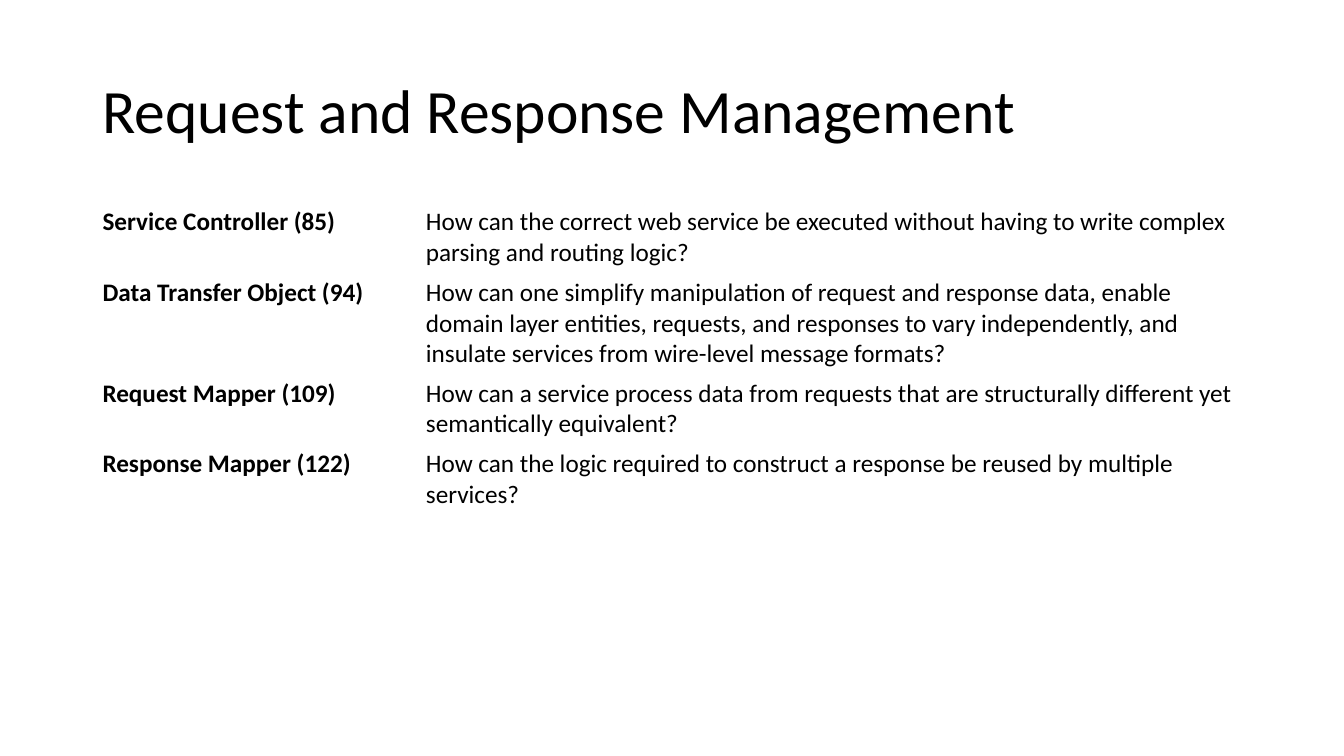
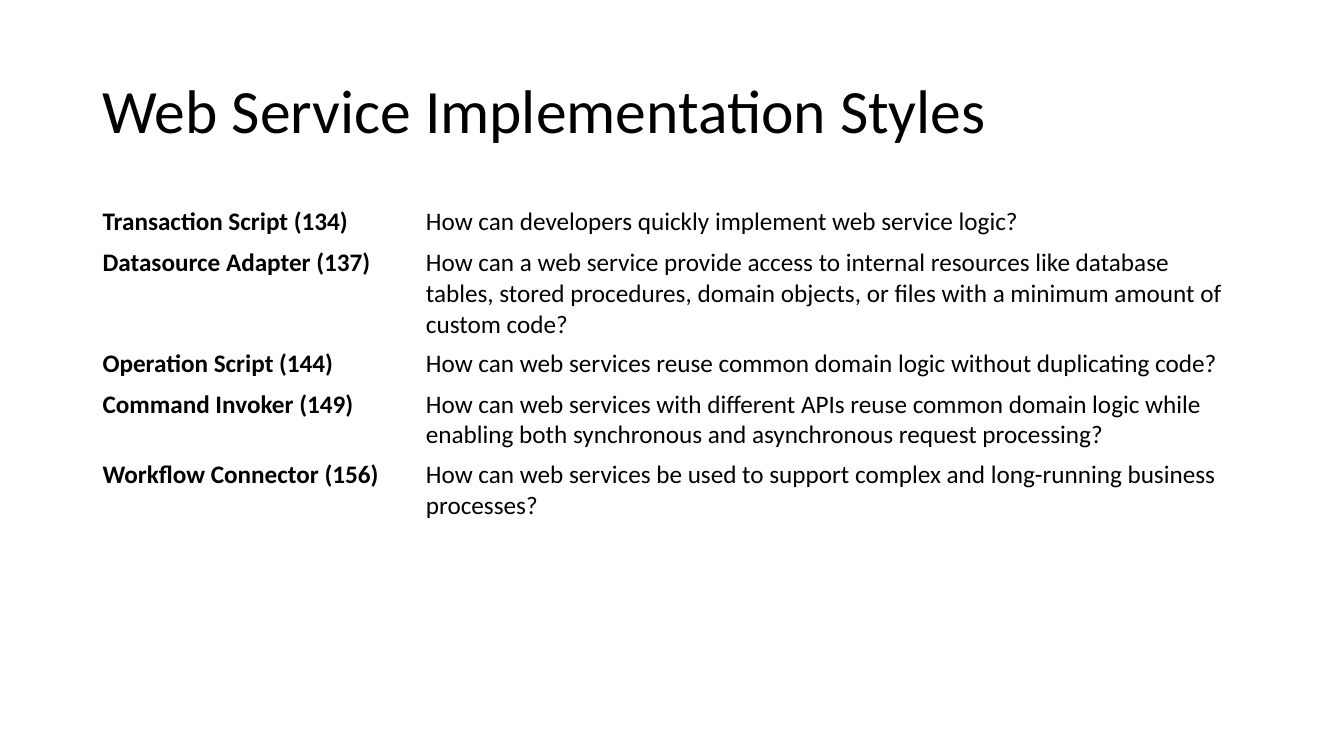
"""Builds two slides that list web service design patterns and the questions they answer."""
from pptx import Presentation
from pptx.dml.color import RGBColor
from pptx.enum.text import MSO_ANCHOR
from pptx.util import Cm, Pt

MIDDLE = MSO_ANCHOR.MIDDLE
COLORS = {"text": "000000", "background": "FFFFFF"}
FONT = "Calibri"
LEFT, WIDTH = Cm(2.33), Cm(29.21)
NAME_WIDTH = Cm(8.15)
ROW_HEIGHT = Cm(1.03)

CHAPTERS = {
    "Request and Response Management": [
        ("Service Controller (85)",
         "How can the correct web service be executed without having to write "
         "complex parsing and routing logic?"),
        ("Data Transfer Object (94)",
         "How can one simplify manipulation of request and response data, enable "
         "domain layer entities, requests, and responses to vary independently, "
         "and insulate services from wire-level message formats?"),
        ("Request Mapper (109)",
         "How can a service process data from requests that are structurally "
         "different yet semantically equivalent?"),
        ("Response Mapper (122)",
         "How can the logic required to construct a response be reused by "
         "multiple services?"),
    ],
    "Web Service Implementation Styles": [
        ("Transaction Script (134)",
         "How can developers quickly implement web service logic?"),
        ("Datasource Adapter (137)",
         "How can a web service provide access to internal resources like "
         "database tables, stored procedures, domain objects, or files with a "
         "minimum amount of custom code?"),
        ("Operation Script (144)",
         "How can web services reuse common domain logic without duplicating code?"),
        ("Command Invoker (149)",
         "How can web services with different APIs reuse common domain logic "
         "while enabling both synchronous and asynchronous request processing?"),
        ("Workflow Connector (156)",
         "How can web services be used to support complex and long-running "
         "business processes?"),
    ],
}


def add_run(paragraph, text, size, bold=False):
    run = paragraph.add_run()
    run.text = text
    run.font.name = FONT
    run.font.size = Pt(size)
    run.font.bold = bold
    run.font.color.rgb = RGBColor.from_string(COLORS["text"])


deck = Presentation()
deck.slide_width, deck.slide_height = Cm(33.87), Cm(19.05)
blank = deck.slide_layouts[6]
backdrop = deck.slide_master.background.fill
backdrop.solid()
backdrop.fore_color.rgb = RGBColor.from_string(COLORS["background"])

for heading, patterns in CHAPTERS.items():
    slide = deck.slides.add_slide(blank)

    title = slide.shapes.add_textbox(LEFT, Cm(1.01), WIDTH, Cm(3.68)).text_frame
    title.word_wrap = True
    title.vertical_anchor = MIDDLE
    title.paragraphs[0].line_spacing = 0.9
    add_run(title.paragraphs[0], heading, 44)

    catalog = slide.shapes.add_table(
        len(patterns), 2, LEFT, Cm(5.08), WIDTH, ROW_HEIGHT * len(patterns)).table
    catalog.first_row = False
    catalog.horz_banding = False
    catalog.columns[0].width = NAME_WIDTH
    catalog.columns[1].width = WIDTH - NAME_WIDTH
    for row, pattern in enumerate(patterns):
        for column, text in enumerate(pattern):
            cell = catalog.cell(row, column)
            cell.fill.background()
            add_run(cell.text_frame.paragraphs[0], text, 18, bold=column == 0)

deck.save("out.pptx")
